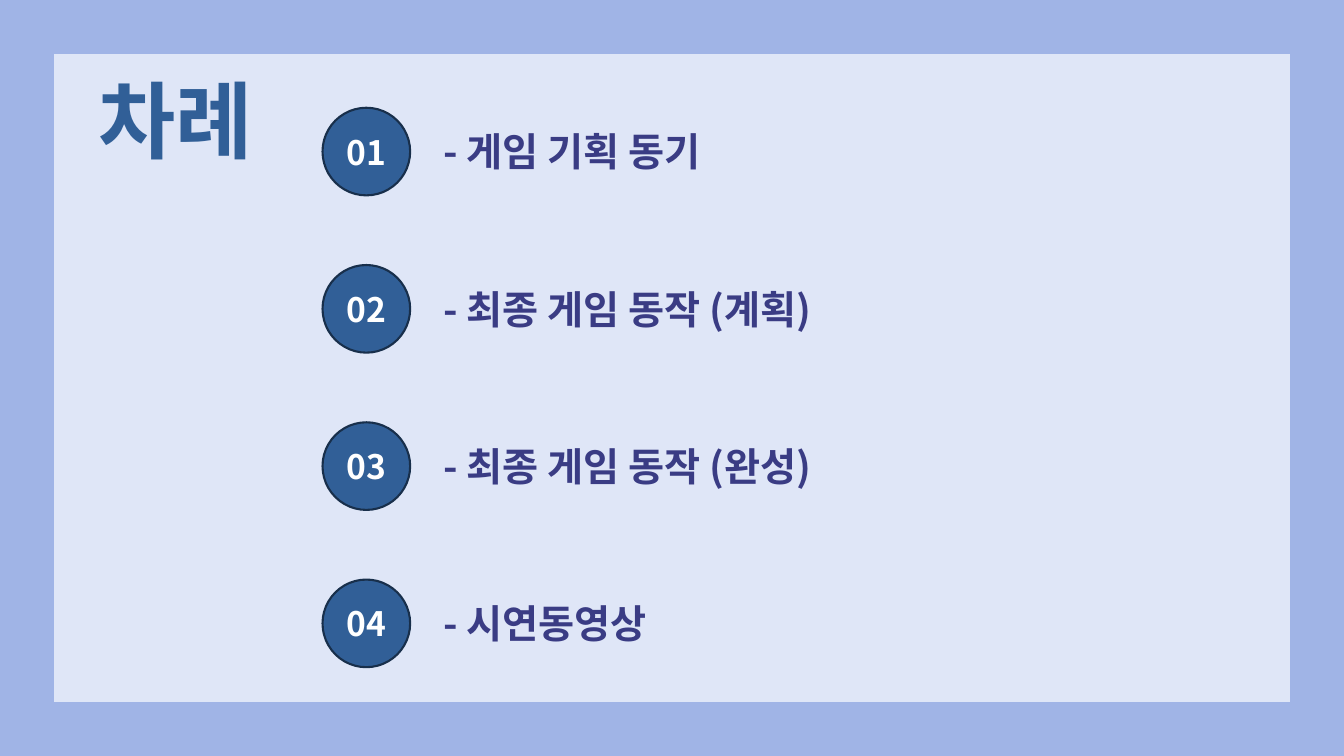
from lxml import etree
from pptx import Presentation
from pptx.dml.color import RGBColor
from pptx.enum.shapes import MSO_SHAPE
from pptx.enum.text import MSO_ANCHOR, MSO_AUTO_SIZE, PP_ALIGN
from pptx.oxml.ns import qn
from pptx.util import Pt

RECTANGLE, OVAL = MSO_SHAPE.RECTANGLE, MSO_SHAPE.OVAL
MIDDLE, TOP = MSO_ANCHOR.MIDDLE, MSO_ANCHOR.TOP
CENTER, LEFT = PP_ALIGN.CENTER, PP_ALIGN.LEFT
FIXED, GROW = MSO_AUTO_SIZE.NONE, MSO_AUTO_SIZE.SHAPE_TO_FIT_TEXT

WIDTH, HEIGHT = 960, 540
BORDER = 37.5
FONT = "Noto Sans CJK KR"
BACKGROUND, FRAME = "DFE6F7", "A0B4E6"
BLUE, OUTLINE, INDIGO, WHITE = "315F97", "182F4B", "3A3C84", "FFFFFF"
TOPICS = [
    "게임 기획 동기",
    "최종 게임 동작 (계획)",
    "최종 게임 동작 (완성)",
    "시연동영상",
]


def color(value):
    return RGBColor.from_string(value)


def write(shape, text, size, ink, align=CENTER, anchor=MIDDLE, fit=FIXED):
    frame = shape.text_frame
    frame.text = text
    frame.word_wrap = True
    frame.auto_size = fit
    frame.vertical_anchor = anchor
    para = frame.paragraphs[0]
    para.alignment = align
    font = para.runs[0].font
    font.name, font.size, font.bold = FONT, Pt(size), True
    font.color.rgb = color(ink)
    # Hangul takes its typeface from the East Asian font entry.
    latin = font._element.find(qn("a:latin"))
    east_asian = etree.Element(qn("a:ea"), typeface=FONT)
    latin.addnext(east_asian)


def add_filled_shape(page, kind, box, fill, line):
    shape = page.shapes.add_shape(kind, *map(Pt, box))
    shape.shadow.inherit = False
    shape.fill.solid()
    shape.fill.fore_color.rgb = color(fill)
    shape.line.color.rgb = color(line)
    shape.line.width = Pt(1.5)
    return shape


def add_frame(page, width, height):
    for box in (
        (0, 0, BORDER, height),
        (width - BORDER, 0, BORDER, height),
        (0, 0, width, BORDER),
        (0, height - BORDER, width, BORDER),
    ):
        add_filled_shape(page, RECTANGLE, box, FRAME, FRAME)


def add_title(page, left, top, width, height):
    title = page.shapes.title
    title.left, title.top = Pt(left), Pt(top)
    title.width, title.height = Pt(width), Pt(height)
    write(title, "차례", 60, BLUE)


def add_topic(page, number, topic, left, top, width, height):
    """Place a numbered circle at the left of the box and the topic beside it."""
    circle = add_filled_shape(page, OVAL, (left, top, height, height), BLUE, OUTLINE)
    write(circle, f"{number:02}", 24, WHITE)
    circle.text_frame.margin_left = circle.text_frame.margin_right = 0

    text_left, text_height = left + 79.2, 41.2
    label = page.shapes.add_textbox(
        Pt(text_left), Pt(top + (height - text_height) / 2),
        Pt(left + width - text_left), Pt(text_height),
    )
    write(label, f"- {topic}", 28, INDIGO, LEFT, TOP, GROW)


def add_topics(page, left, top, width, height):
    """Spread the topics evenly from the top to the bottom of the box."""
    size = 62.6
    step = (height - size) / (len(TOPICS) - 1)
    for index, topic in enumerate(TOPICS):
        add_topic(page, index + 1, topic, left, top + index * step, width, size)


def main():
    deck = Presentation()
    deck.slide_width, deck.slide_height = Pt(WIDTH), Pt(HEIGHT)
    page = deck.slides.add_slide(deck.slide_layouts[5])
    page.background.fill.solid()
    page.background.fill.fore_color.rgb = color(BACKGROUND)

    add_frame(page, WIDTH, HEIGHT)
    add_title(page, BORDER, BORDER, 175.5, 95)
    add_topics(page, 230.4, 77, 499, 399.6)
    deck.save("out.pptx")


if __name__ == "__main__":
    main()
